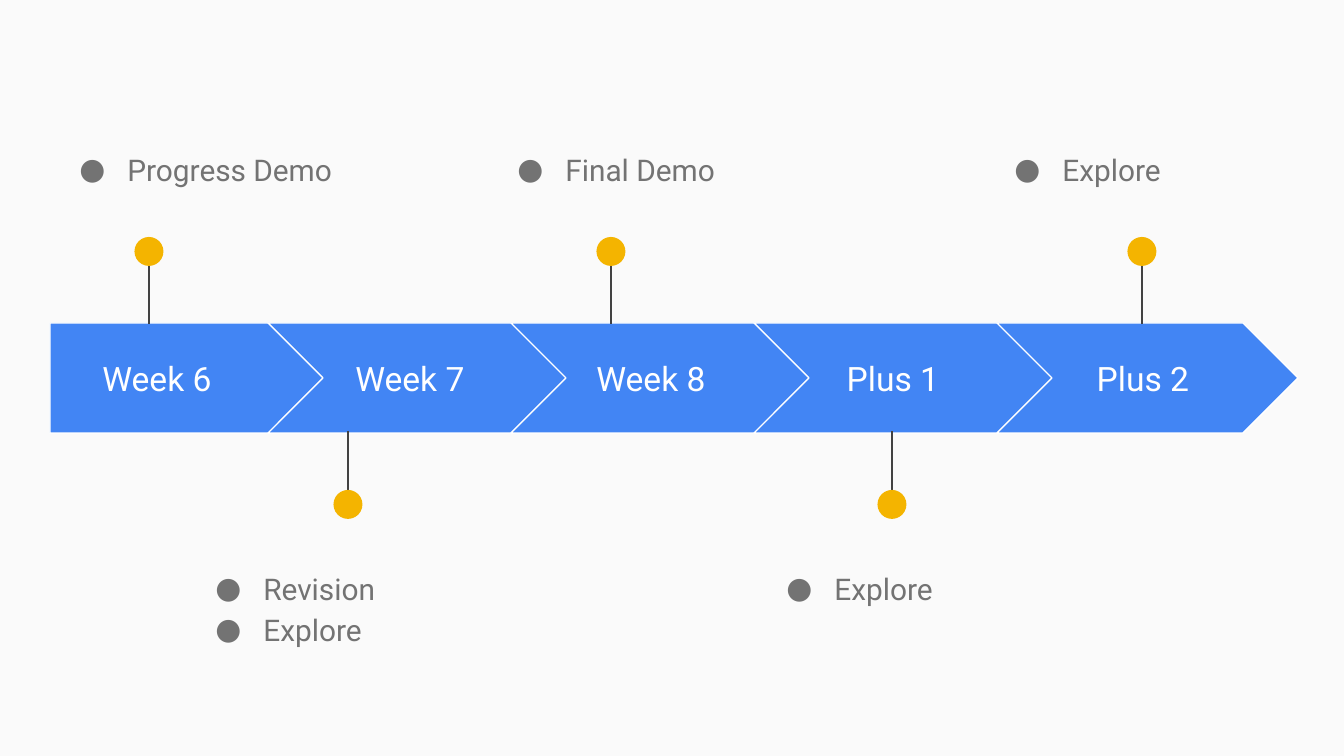
from lxml import etree
from pptx import Presentation
from pptx import util as u
from pptx.dml.color import RGBColor
from pptx.enum import shapes, text
from pptx.oxml.ns import qn

PX = 914400 / 134.4
BACKGROUND = RGBColor(0xFA, 0xFA, 0xFA)
BLUE = RGBColor(0x42, 0x85, 0xF4)
YELLOW = RGBColor(0xF4, 0xB4, 0x00)
WHITE = RGBColor(0xFF, 0xFF, 0xFF)
GREY = RGBColor(0x73, 0x73, 0x73)
DARK = RGBColor(0x42, 0x42, 0x42)
FONT = "Roboto"

ARROW_TOP, ARROW_HEIGHT = 323, 110
FIRST_LEFT, FIRST_WIDTH = 50, 276
CHEVRON_LEFT, CHEVRON_WIDTH, CHEVRON_PITCH = 268, 301, 243
DOT = 29

# label, label left, label width, pin centre, list left, list items
STAGES = [
    ("Week 6", 50, 214, 149, 47, ["Progress Demo"]),
    ("Week 7", 313, 194, 348, 183, ["Revision", "Explore"]),
    ("Week 8", 554, 194, 611, 485, ["Final Demo"]),
    ("Plus 1", 796, 194, 892, 754, ["Explore"]),
    ("Plus 2", 1046, 194, 1142, 982, ["Explore"]),
]


def px(*lengths):
    return [u.Emu(round(length * PX)) for length in lengths]


def add_arrow(slide, index):
    """Add the home plate for the first stage, a chevron for the others."""
    if index == 0:
        kind, left, width = shapes.MSO_SHAPE.PENTAGON, FIRST_LEFT, FIRST_WIDTH
    else:
        kind, width = shapes.MSO_SHAPE.CHEVRON, CHEVRON_WIDTH
        left = CHEVRON_LEFT + (index - 1) * CHEVRON_PITCH
    arrow = slide.shapes.add_shape(kind, *px(left, ARROW_TOP, width, ARROW_HEIGHT))
    arrow.adjustments[0] = 0.5
    arrow.shadow.inherit = False
    arrow.fill.solid()
    arrow.fill.fore_color.rgb = BLUE
    arrow.line.color.rgb = WHITE
    arrow.line.width = u.Pt(0.75)


def add_body(slide, box, lines, size, color, anchor):
    """Add a body placeholder with one paragraph per line; return the paragraphs."""
    slide.shapes.clone_placeholder(slide.slide_layout.placeholders[1])
    body = slide.shapes[-1]
    body.left, body.top, body.width, body.height = px(*box)
    frame = body.text_frame
    frame.word_wrap = True
    frame.auto_size = text.MSO_AUTO_SIZE.NONE
    frame.vertical_anchor = anchor
    frame.margin_left = frame.margin_right = u.Inches(0.1)
    frame.margin_top = frame.margin_bottom = u.Inches(0.1)
    for number, line in enumerate(lines):
        paragraph = frame.add_paragraph() if number else frame.paragraphs[0]
        paragraph.space_before = u.Pt(0)
        run = paragraph.add_run()
        run.text = line
        run.font.name = FONT
        run.font.size = u.Pt(size)
        run.font.color.rgb = color
    return frame.paragraphs


def add_label(slide, left, width, label):
    box = (left, 344, width, 69)
    for paragraph in add_body(slide, box, [label], 18, WHITE, text.MSO_ANCHOR.MIDDLE):
        paragraph.alignment = text.PP_ALIGN.CENTER


def add_list(slide, left, top, items):
    indent, hanging = px(67, -48)
    box = (left, top, 329, 133)
    for paragraph in add_body(slide, box, items, 16, GREY, text.MSO_ANCHOR.TOP):
        paragraph.line_spacing = 1.15
        properties = paragraph._p.get_or_add_pPr()
        properties.set("marL", str(indent))
        properties.set("indent", str(hanging))
        bullet_color = etree.SubElement(properties, qn("a:buClr"))
        etree.SubElement(bullet_color, qn("a:srgbClr"), val=str(GREY))
        etree.SubElement(properties, qn("a:buFont"), typeface=FONT)
        etree.SubElement(properties, qn("a:buChar"), char="●")


def add_pin(slide, center, line_start, line_end, dot_top):
    pin = slide.shapes.add_group_shape()
    stem = pin.shapes.add_connector(
        shapes.MSO_CONNECTOR.STRAIGHT, *px(center, line_start, center, line_end))
    stem.line.color.rgb = DARK
    stem.line.width = u.Pt(0.75)
    etree.SubElement(stem._element.spPr, qn("a:effectLst"))
    dot = pin.shapes.add_shape(
        shapes.MSO_SHAPE.OVAL, *px(center - DOT / 2, dot_top, DOT, DOT))
    dot.shadow.inherit = False
    dot.fill.solid()
    dot.fill.fore_color.rgb = YELLOW
    dot.line.fill.background()


def main():
    deck = Presentation()
    deck.slide_width, deck.slide_height = px(1344, 756)
    slide = deck.slides.add_slide(deck.slide_layouts.get_by_name("Section Header"))
    for placeholder in list(slide.placeholders):
        placeholder._element.getparent().remove(placeholder._element)
    slide.background.fill.solid()
    slide.background.fill.fore_color.rgb = BACKGROUND

    for index, (label, label_left, label_width, center, list_left, items) in enumerate(STAGES):
        above = index % 2 == 0
        add_arrow(slide, index)
        add_label(slide, label_left, label_width, label)
        if above:
            add_pin(slide, center, 242, 324, 237)
        else:
            add_pin(slide, center, 513, 431, 490)
        add_list(slide, list_left, 133 if above else 552, items)

    deck.save("out.pptx")


if __name__ == "__main__":
    main()
